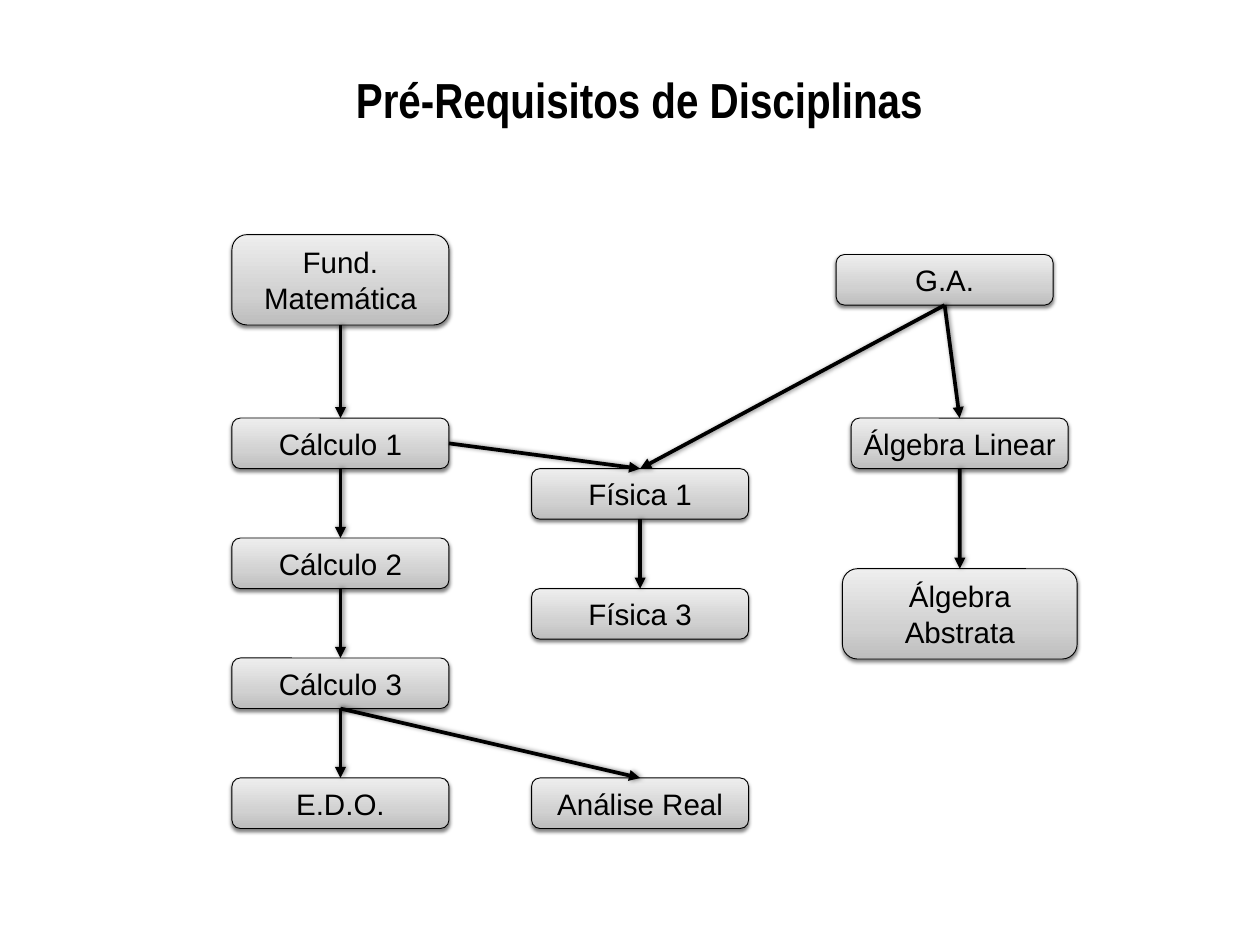
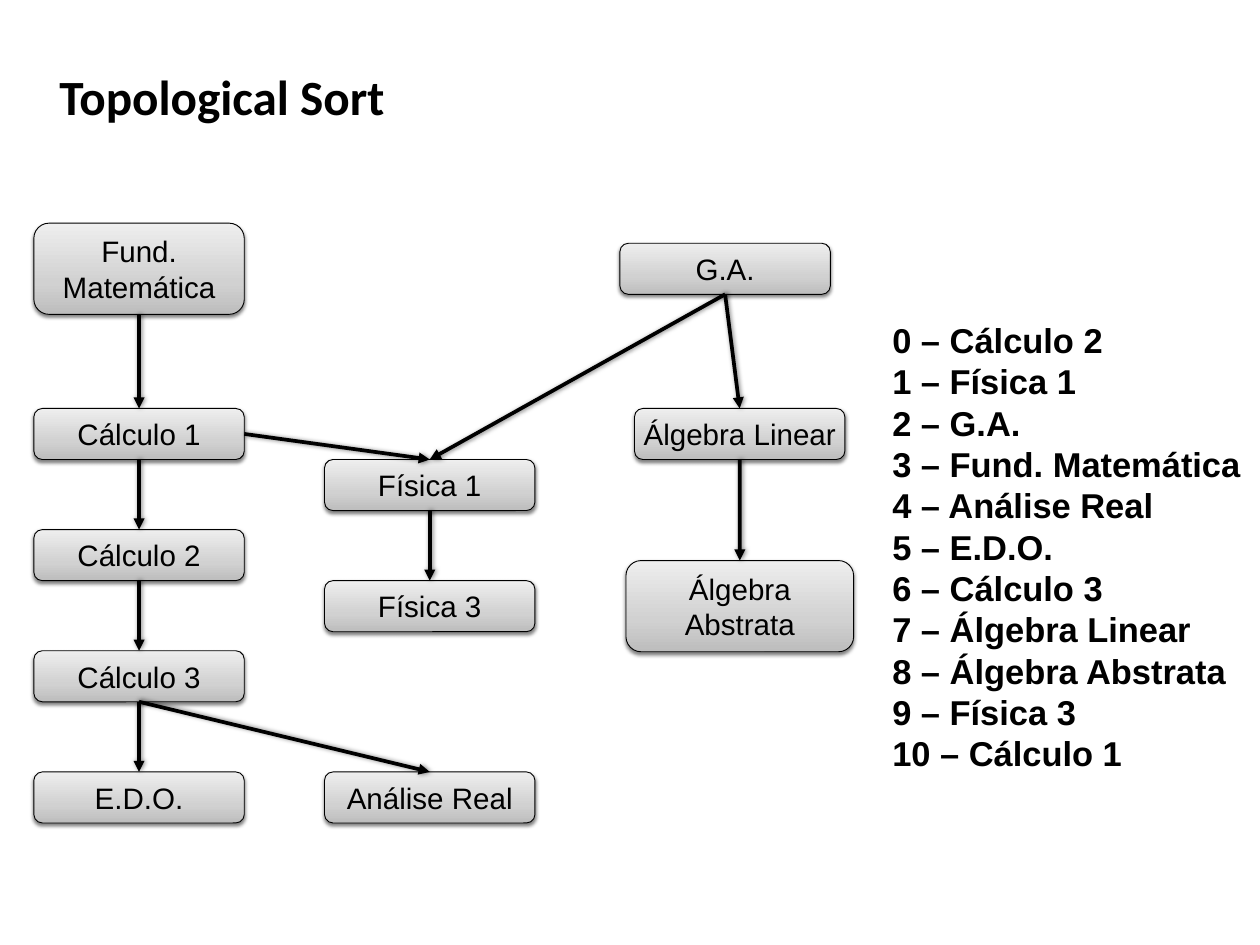
from pptx import Presentation
from pptx import util as u
from pptx.dml.color import RGBColor
from pptx.enum import shapes, text
from pptx.oxml import parse_xml
from pptx.oxml.ns import nsdecls, qn
from lxml import etree

BLACK = "000000"
GRADIENT = [(0, "BDBDBD"), (35, "D1D1D1"), (100, "EEEEEE")]
TOP, RIGHT, BOTTOM = 0, 3, 2
BOX_W, BOX_H, TALL_H = 6.22, 1.45, 2.59
ROW = 3.44
CALC_Y = 5.26
FIS_X, FIS_Y = 8.59, CALC_Y + BOX_H

COURSES = {
    "Fund. Matemática": (0, 0, BOX_W, TALL_H),
    "Cálculo 1": (0, CALC_Y, BOX_W, BOX_H),
    "Cálculo 2": (0, CALC_Y + ROW, BOX_W, BOX_H),
    "Cálculo 3": (0, CALC_Y + 2 * ROW, BOX_W, BOX_H),
    "E.D.O.": (0, CALC_Y + 3 * ROW, BOX_W, BOX_H),
    "Física 1": (FIS_X, FIS_Y, BOX_W, BOX_H),
    "Física 3": (FIS_X, FIS_Y + ROW, BOX_W, BOX_H),
    "Análise Real": (FIS_X, CALC_Y + 3 * ROW, BOX_W, BOX_H),
    "G.A.": (17.32, 0.57, BOX_W, BOX_H),
    "Álgebra Abstrata": (17.5, 9.58, 6.73, TALL_H),
    "Álgebra Linear": (17.75, CALC_Y, BOX_W, BOX_H),
}

PREREQUISITES = [
    ("Fund. Matemática", BOTTOM, "Cálculo 1"),
    ("Cálculo 1", BOTTOM, "Cálculo 2"),
    ("Cálculo 2", BOTTOM, "Cálculo 3"),
    ("Cálculo 3", BOTTOM, "E.D.O."),
    ("Cálculo 3", BOTTOM, "Análise Real"),
    ("Cálculo 1", RIGHT, "Física 1"),
    ("Física 1", BOTTOM, "Física 3"),
    ("G.A.", BOTTOM, "Física 1"),
    ("G.A.", BOTTOM, "Álgebra Linear"),
    ("Álgebra Linear", BOTTOM, "Álgebra Abstrata"),
]

SORT_ORDER = [
    "Cálculo 2", "Física 1", "G.A.", "Fund. Matemática", "Análise Real", "E.D.O.",
    "Cálculo 3", "Álgebra Linear", "Álgebra Abstrata", "Física 3", "Cálculo 1",
]


def color(value):
    return RGBColor.from_string(value)


def place(sp, left, top, width, height):
    sp.left, sp.top = u.Cm(left), u.Cm(top)
    sp.width, sp.height = u.Cm(width), u.Cm(height)


def set_frame(tf):
    tf.word_wrap = True
    tf.auto_size = text.MSO_AUTO_SIZE.NONE
    tf.vertical_anchor = text.MSO_ANCHOR.MIDDLE
    tf.margin_left = tf.margin_right = tf.margin_top = tf.margin_bottom = u.Cm(0.15)


def add_run(p, content, size, font="Arial", bold=False, align=text.PP_ALIGN.LEFT):
    p.alignment = align
    r = p.add_run()
    r.text = content
    r.font.name = font
    r.font.size = u.Pt(size)
    r.font.bold = bold
    r.font.color.rgb = color(BLACK)


def add_shadow(sp, blur, distance, angle):
    props = sp._element.spPr
    for old in props.findall(qn("a:effectLst")):
        props.remove(old)
    props.append(parse_xml(
        f'<a:effectLst {nsdecls("a")}><a:outerShdw blurRad="{u.Pt(blur)}" '
        f'dist="{u.Pt(distance)}" dir="{angle * 60000}" rotWithShape="0">'
        f'<a:srgbClr val="{BLACK}"><a:alpha val="50000"/></a:srgbClr>'
        f'</a:outerShdw></a:effectLst>'))


def fill_gradient(sp):
    sp.fill.gradient()
    sp.fill.gradient_angle = 90
    stops = sp._element.spPr.find(qn("a:gradFill")).find(qn("a:gsLst"))
    for old in list(stops):
        stops.remove(old)
    for position, value in GRADIENT:
        stop = etree.SubElement(stops, qn("a:gs"), pos=str(position * 1000))
        etree.SubElement(stop, qn("a:srgbClr"), val=value)


def add_course(s, name, box):
    sp = s.shapes.add_shape(shapes.MSO_SHAPE.ROUNDED_RECTANGLE, *map(u.Cm, box))
    fill_gradient(sp)
    sp.line.color.rgb = color(BLACK)
    sp.line.width = u.Pt(0.75)
    add_shadow(sp, 3, 2, 90)
    set_frame(sp.text_frame)
    add_run(sp.text_frame.paragraphs[0], name, 24, align=text.PP_ALIGN.CENTER)
    return sp


def add_arrow(s, source, side, target):
    cxn = s.shapes.add_connector(shapes.MSO_CONNECTOR.STRAIGHT, 0, 0, 0, 0)
    cxn.begin_connect(source, side)
    cxn.end_connect(target, TOP)
    cxn.line.color.rgb = color(BLACK)
    cxn.line.width = u.Pt(3)
    etree.SubElement(cxn.line._get_or_add_ln(), qn("a:tailEnd"), type="triangle")
    add_shadow(cxn, 4, 1, 0)


def add_graph(s, left, top, scale_x=1, scale_y=1):
    boxes = {}
    for name, (x, y, w, h) in COURSES.items():
        box = (left + x * scale_x, top + y * scale_y, w * scale_x, h * scale_y)
        boxes[name] = add_course(s, name, box)
    for source, side, target in PREREQUISITES:
        add_arrow(s, boxes[source], side, boxes[target])


def add_title(s, content, box, font, align):
    sp = s.shapes.title
    place(sp, *box)
    set_frame(sp.text_frame)
    add_run(sp.text_frame.paragraphs[0], content, 40, font, True, align)


def add_list(s, items, box):
    sp = s.placeholders[1]
    place(sp, *box)
    tf = sp.text_frame
    set_frame(tf)
    for i, item in enumerate(items):
        p = tf.add_paragraph() if i else tf.paragraphs[0]
        p.space_before = u.Pt(0)
        add_run(p, f"{i} – {item}", 28, bold=True)
        props = p._p.get_or_add_pPr()
        props.set("marL", "0")
        props.set("indent", "0")
        etree.SubElement(props, qn("a:buNone"))


def main():
    prs = Presentation()
    prs.slide_width, prs.slide_height = u.Cm(36.12), u.Cm(27.1)

    s = prs.slides.add_slide(prs.slide_layouts[5])
    add_title(s, "Pré-Requisitos de Disciplinas", (0.6, 1.8, 35.46, 2.08),
              "Arial Narrow", text.PP_ALIGN.CENTER)
    add_graph(s, 6.65, 6.73)

    s = prs.slides.add_slide(prs.slide_layouts[1])
    add_title(s, "Topological Sort", (1.55, 1.25, 33.02, 3),
              "Calibri", text.PP_ALIGN.LEFT)
    add_graph(s, 0.97, 6.4, 0.97, 1.01)
    add_list(s, SORT_ORDER, (25.43, 8.94, 10.52, 13.46))

    prs.save("out.pptx")


if __name__ == "__main__":
    main()
